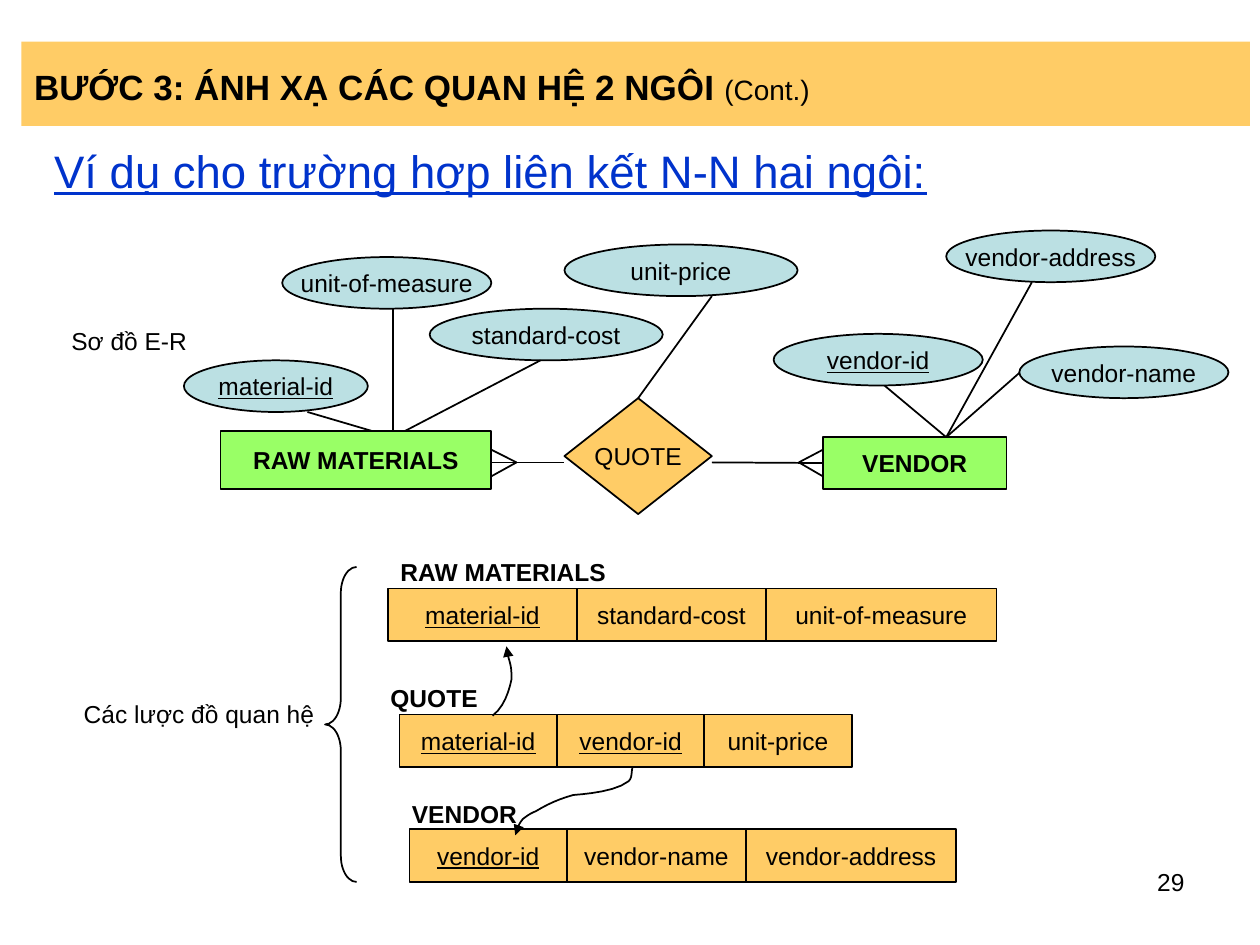
from dataclasses import dataclass

from lxml import etree
from pptx import Presentation
from pptx.dml.color import RGBColor
from pptx.enum.shapes import MSO_CONNECTOR, MSO_SHAPE
from pptx.enum.text import MSO_ANCHOR, MSO_AUTO_SIZE, PP_ALIGN
from pptx.oxml.ns import qn
from pptx.util import Inches, Pt

RECT, OVAL, DIAMOND = MSO_SHAPE.RECTANGLE, MSO_SHAPE.OVAL, MSO_SHAPE.DIAMOND
BRACE = MSO_SHAPE.LEFT_BRACE
STRAIGHT = MSO_CONNECTOR.STRAIGHT
LEFT, CENTER, RIGHT = PP_ALIGN.LEFT, PP_ALIGN.CENTER, PP_ALIGN.RIGHT
TOP, MIDDLE = MSO_ANCHOR.TOP, MSO_ANCHOR.MIDDLE
NO_FIT = MSO_AUTO_SIZE.NONE


@dataclass(frozen=True)
class Theme:
    font: str = "Arial"
    ink: str = "000000"
    accent: str = "FFCC66"
    entity: str = "99FF66"
    attribute: str = "BBE0E3"
    heading: str = "0033CC"
    title_size: int = 20
    suffix_size: int = 16
    body_size: int = 26
    label_size: int = 14
    line_width: int = 1


class Diagram:
    """Holds the theme and the slide being drawn; lengths are in inches."""

    def __init__(self, slide, theme):
        self.s, self.t = slide, theme

    def style_run(self, r, size=None, color=None, bold=False, underline=False):
        r.font.name = self.t.font
        r.font.size = Pt(size or self.t.label_size)
        r.font.color.rgb = RGBColor.from_string(color or self.t.ink)
        r.font.bold, r.font.underline = bold, underline

    def outline(self, line):
        line.color.rgb = RGBColor.from_string(self.t.ink)
        line.width = Pt(self.t.line_width)

    def set_text(self, sp, text, align=CENTER, anchor=MIDDLE, **style):
        tf = sp.text_frame
        tf.text = text
        tf.word_wrap = False
        tf.vertical_anchor = anchor
        p = tf.paragraphs[0]
        p.alignment = align
        self.style_run(p.runs[0], **style)

    def place(self, sp, box):
        sp.left, sp.top, sp.width, sp.height = map(Inches, box)

    def title(self, box, text, suffix):
        sp = self.s.shapes.title
        self.place(sp, box)
        sp.fill.solid()
        sp.fill.fore_color.rgb = RGBColor.from_string(self.t.accent)
        tf = sp.text_frame
        tf.auto_size, tf.vertical_anchor = NO_FIT, MIDDLE
        p = tf.paragraphs[0]
        p.alignment, p.line_spacing = LEFT, 1.15
        for words, size, bold in ((text, self.t.title_size, True),
                                  (suffix, self.t.suffix_size, False)):
            r = p.add_run()
            r.text = words
            self.style_run(r, size=size, bold=bold)

    def body(self, box, text):
        sp = self.s.placeholders[1]
        self.place(sp, box)
        tf = sp.text_frame
        tf.text = text
        tf.auto_size = NO_FIT
        p = tf.paragraphs[0]
        pPr = p._p.get_or_add_pPr()
        pPr.set("marL", str(Inches(0.67)))
        pPr.set("indent", str(-Inches(0.67)))
        etree.SubElement(pPr, qn("a:buNone"))
        p.line_spacing, p.space_before, p.space_after = 0.8, Pt(0), Pt(9.8)
        self.style_run(p.runs[0], size=self.t.body_size,
                       color=self.t.heading, underline=True)

    def label(self, box, text, **style):
        sp = self.s.shapes.add_textbox(*map(Inches, box))
        self.set_text(sp, text, **style)

    def node(self, kind, box, fill, text, **style):
        sp = self.s.shapes.add_shape(kind, *map(Inches, box))
        sp.shadow.inherit = False
        sp.fill.solid()
        sp.fill.fore_color.rgb = RGBColor.from_string(fill)
        self.outline(sp.line)
        self.set_text(sp, text, **style)
        return sp

    def line(self, start, end):
        c = self.s.shapes.add_connector(STRAIGHT, *map(Inches, (*start, *end)))
        etree.SubElement(c._element.spPr, qn("a:effectLst"))
        self.outline(c.line)
        return c

    def crow_foot(self, side_x, tip_x, y):
        for dy in (-0.1, 0.11):
            self.line((side_x, y + dy), (tip_x, y))

    def brace(self, box):
        sp = self.s.shapes.add_shape(BRACE, *map(Inches, box))
        sp.adjustments[0] = 0.83
        sp.shadow.inherit = False
        sp.fill.background()
        self.outline(sp.line)

    def relation(self, name, name_box, left, top, columns):
        """Draw a schema row; each column is (text, width, is_key)."""
        self.label(name_box, name, align=LEFT, bold=True)
        for text, width, is_key in columns:
            self.node(RECT, (left, top, width, 0.42), self.t.accent, text,
                      underline=is_key)
            left += width

    def curved_arrow(self, start, curves, steps=6):
        """Trace cubic curves, each given as two control points and an end."""
        points, p0 = [], start
        for p1, p2, p3 in curves:
            for k in range(1, steps + 1):
                u = k / steps
                weights = ((1 - u)**3, 3 * u * (1 - u)**2, 3 * u * u * (1 - u), u**3)
                points.append(tuple(
                    Inches(sum(w * v for w, v in zip(weights, axis)))
                    for axis in zip(p0, p1, p2, p3)))
            p0 = p3
        fb = self.s.shapes.build_freeform(*map(Inches, start))
        fb.add_line_segments(points, close=False)
        sp = fb.convert_to_shape()
        sp.shadow.inherit = False
        sp.fill.background()
        self.outline(sp.line)
        etree.SubElement(sp.line._get_or_add_ln(), qn("a:tailEnd"), type="triangle")


def main():
    prs = Presentation()
    prs.slide_width, prs.slide_height = Inches(10), Inches(7.5)
    theme = Theme()
    d = Diagram(prs.slides.add_slide(prs.slide_layouts[1]), theme)

    d.title((0.17, 0.33, 9.75, 0.67), "BƯỚC 3: ÁNH XẠ CÁC QUAN HỆ 2 NGÔI ", "(Cont.)")
    d.body((0.33, 1.17, 9.42, 0.58), "Ví dụ cho trường hợp liên kết N-N hai ngôi:")

    # Relation schemas and their foreign keys
    d.label((0.48, 5.5, 2.2, 0.33), "Các lược đồ quan hệ")
    d.brace((2.58, 4.5, 0.25, 2.5))
    d.relation("RAW MATERIALS", (3.08, 4.33, 2, 0.42), 3.08, 4.67, [
        ("material-id", 1.5, True), ("standard-cost", 1.5, False),
        ("unit-of-measure", 1.83, False)])
    d.relation("QUOTE", (3, 5.33, 1.25, 0.42), 3.17, 5.67, [
        ("material-id", 1.25, True), ("vendor-id", 1.17, True),
        ("unit-price", 1.17, False)])
    d.relation("VENDOR", (3.17, 6.25, 1.25, 0.42), 3.25, 6.58, [
        ("vendor-id", 1.25, True), ("vendor-name", 1.42, False),
        ("vendor-address", 1.67, False)])
    d.curved_arrow((3.91, 5.68), [
        ((4, 5.61), (4.04, 5.49), (4.06, 5.39)),
        ((4.06, 5.35), (4.06, 5.31), (4.05, 5.27)),
        ((4.04, 5.23), (4.02, 5.17), (4.02, 5.13))])
    d.curved_arrow((5.02, 6.09), [
        ((5.01, 6.13), (5.02, 6.17), (4.99, 6.2)),
        ((4.89, 6.28), (4.67, 6.3), (4.55, 6.31)),
        ((4.44, 6.34), (4.35, 6.38), (4.25, 6.44)),
        ((4.22, 6.45), (4.19, 6.47), (4.15, 6.5)),
        ((4.11, 6.55), (4.12, 6.55), (4.09, 6.63))])

    # E-R diagram
    d.label((0, 2.45, 2.05, 0.51), "Sơ đồ E-R")
    vendor = d.node(RECT, (6.53, 3.47, 1.46, 0.41), theme.entity, "VENDOR", bold=True)
    quote = d.node(DIAMOND, (4.48, 3.16, 1.17, 0.92), theme.accent, "QUOTE")

    raw_joint, vendor_joint, quote_top = (3.12, 3.47), (7.51, 3.47), (5.07, 3.16)
    attributes = [
        ("material-id", 1.46, 2.86, 1.46, True, (2.44, 3.27), raw_joint),
        ("unit-of-measure", 2.24, 2.04, 1.66, False, (3.12, 2.45), raw_joint),
        ("standard-cost", 3.41, 2.45, 1.85, False, (4.29, 2.86), raw_joint),
        ("unit-price", 4.48, 1.94, 1.85, False, (5.65, 2.35), quote_top),
        ("vendor-id", 6.14, 2.65, 1.66, True, (7.02, 3.06), vendor_joint),
        ("vendor-name", 8.09, 2.75, 1.66, False, (8.09, 2.96), vendor_joint),
        ("vendor-address", 7.51, 1.83, 1.66, False, (8.19, 2.24), vendor_joint),
    ]
    for text, left, top, width, is_key, start, joint in attributes:
        d.node(OVAL, (left, top, width, 0.41), theme.attribute, text, underline=is_key)
        link = d.line(start, joint)
        if joint == quote_top:
            link.end_connect(quote, 0)

    axis = 3.67
    d.line((3.9, axis), (4.48, axis))
    d.line((5.65, axis), (6.53, axis)).end_connect(vendor, 1)
    d.crow_foot(3.9, 4.1, axis)
    d.crow_foot(6.53, 6.34, axis)
    d.node(RECT, (1.75, 3.42, 2.15, 0.46), theme.entity, "RAW MATERIALS", bold=True)

    d.label((7.17, 6.83, 2.33, 0.52), "29", align=RIGHT, anchor=TOP)
    prs.save("out.pptx")


if __name__ == "__main__":
    main()
